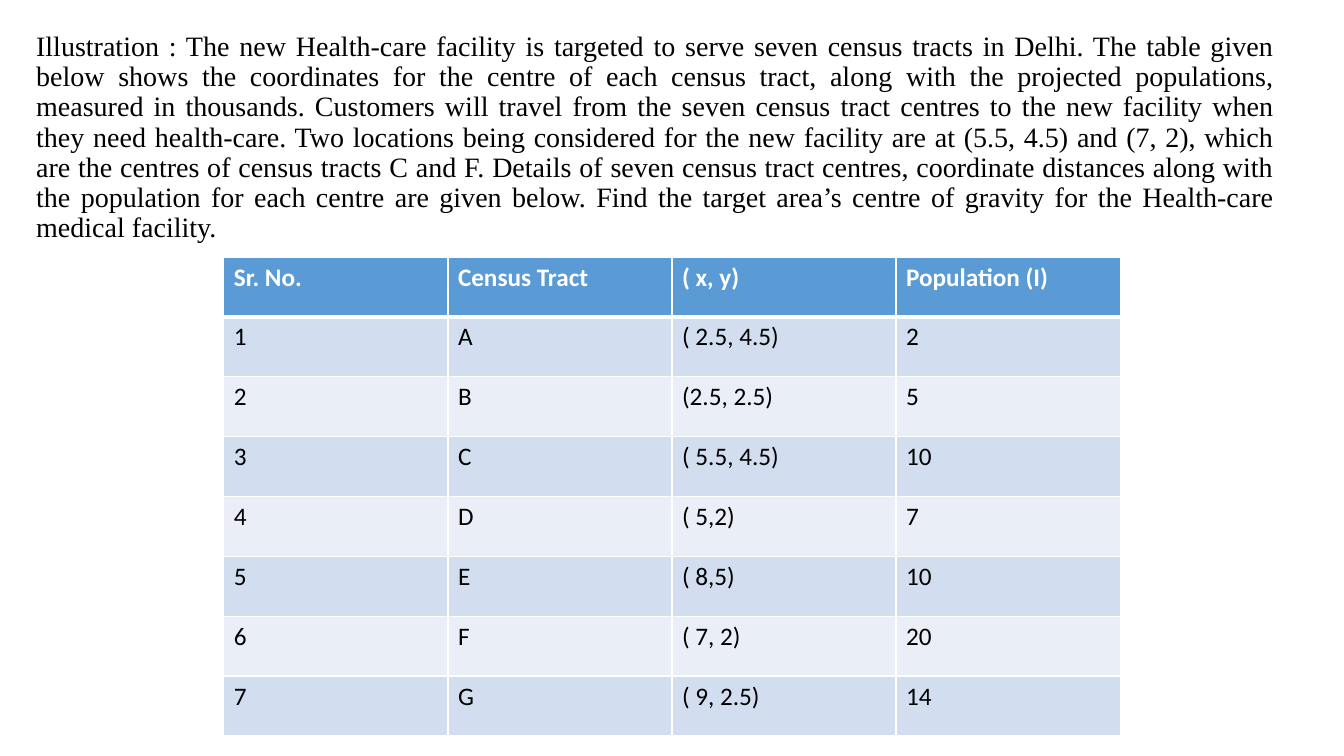
from lxml.etree import SubElement
from pptx import Presentation
from pptx.dml.color import RGBColor
from pptx.enum.text import PP_ALIGN
from pptx.oxml.ns import qn
from pptx.util import Inches, Pt

COLOURS = {"ink": "000000", "white": "FFFFFF", "header": "5B9BD5",
           "odd": "D2DEEF", "even": "EAEFF7"}
SLIDE_SIZE = (13.33, 7.5)
PROBLEM_BOX = (0.26, 0.27, 12.48, 6.91)
TRACTS_BOX = (2.22, 2.55, 8.89, 4.75)
PROBLEM_FORMAT = {"name": "Times New Roman", "size": Pt(20)}
HEADER_FORMAT = {"name": "Calibri", "size": Pt(18), "bold": True}
BODY_FORMAT = {**HEADER_FORMAT, "bold": False}

PROBLEM = (
    "Illustration : The new Health-care facility is targeted to serve seven census tracts "
    "in Delhi. The table given below shows the coordinates for the centre of each census "
    "tract, along with the projected populations, measured in thousands. Customers will "
    "travel from the seven census tract centres to the new facility when they need "
    "health-care. Two locations being considered for the new facility are at (5.5, 4.5) "
    "and (7, 2), which are the centres of census tracts C and F. Details of seven census "
    "tract centres, coordinate distances along with the population for each centre are "
    "given below. Find the target area’s centre of gravity for the Health-care medical "
    "facility."
)
TRACTS = [
    ("Sr. No.", "Census Tract", "( x, y)", "Population (I)"),
    ("1", "A", "( 2.5, 4.5)", "2"),
    ("2", "B", "(2.5, 2.5)", "5"),
    ("3", "C", "( 5.5, 4.5)", "10"),
    ("4", "D", "( 5,2)", "7"),
    ("5", "E", "( 8,5)", "10"),
    ("6", "F", "( 7, 2)", "20"),
    ("7", "G", "( 9, 2.5)", "14"),
]


def colour(name):
    """Return the named colour."""
    return RGBColor.from_string(COLOURS[name])


def apply_font(font, settings, ink):
    """Set the font attributes and colour."""
    for attribute, value in settings.items():
        setattr(font, attribute, value)
    font.color.rgb = colour(ink)


def add_borders(cell, widths):
    """Draw white cell borders, given a width in points for each side."""
    properties = cell._tc.get_or_add_tcPr()
    for side, width in widths.items():
        line = SubElement(properties, qn(f"a:ln{side}"), w=str(Pt(width)))
        fill = SubElement(line, qn("a:solidFill"))
        SubElement(fill, qn("a:srgbClr"), val=COLOURS["white"])


def add_problem(slide, box):
    """Place the justified problem statement in its box."""
    frame = slide.shapes.add_textbox(*map(Inches, box)).text_frame
    frame.word_wrap = True
    statement = frame.paragraphs[0]
    statement.alignment = PP_ALIGN.JUSTIFY
    statement.line_spacing = 0.9
    statement_run = statement.add_run()
    statement_run.text = PROBLEM
    apply_font(statement_run.font, PROBLEM_FORMAT, "ink")


def add_tracts(slide, box):
    """Place the banded table of census tracts in its box."""
    grid = slide.shapes.add_table(len(TRACTS), len(TRACTS[0]), *map(Inches, box)).table
    for row, tract in enumerate(TRACTS):
        is_header = row == 0
        band = "header" if is_header else "odd" if row % 2 else "even"
        widths = {"L": 1, "R": 1, "T": 3 if row == 1 else 1, "B": 3 if is_header else 1}
        for column, entry in enumerate(tract):
            cell = grid.cell(row, column)
            add_borders(cell, widths)
            cell.fill.solid()
            cell.fill.fore_color.rgb = colour(band)
            entry_run = cell.text_frame.paragraphs[0].add_run()
            entry_run.text = entry
            apply_font(entry_run.font, HEADER_FORMAT if is_header else BODY_FORMAT,
                       "white" if is_header else "ink")


def main():
    """Build and save the presentation."""
    deck = Presentation()
    deck.slide_width, deck.slide_height = map(Inches, SLIDE_SIZE)
    slide = deck.slides.add_slide(deck.slide_layouts[6])
    add_problem(slide, PROBLEM_BOX)
    add_tracts(slide, TRACTS_BOX)
    deck.save("out.pptx")


if __name__ == "__main__":
    main()
